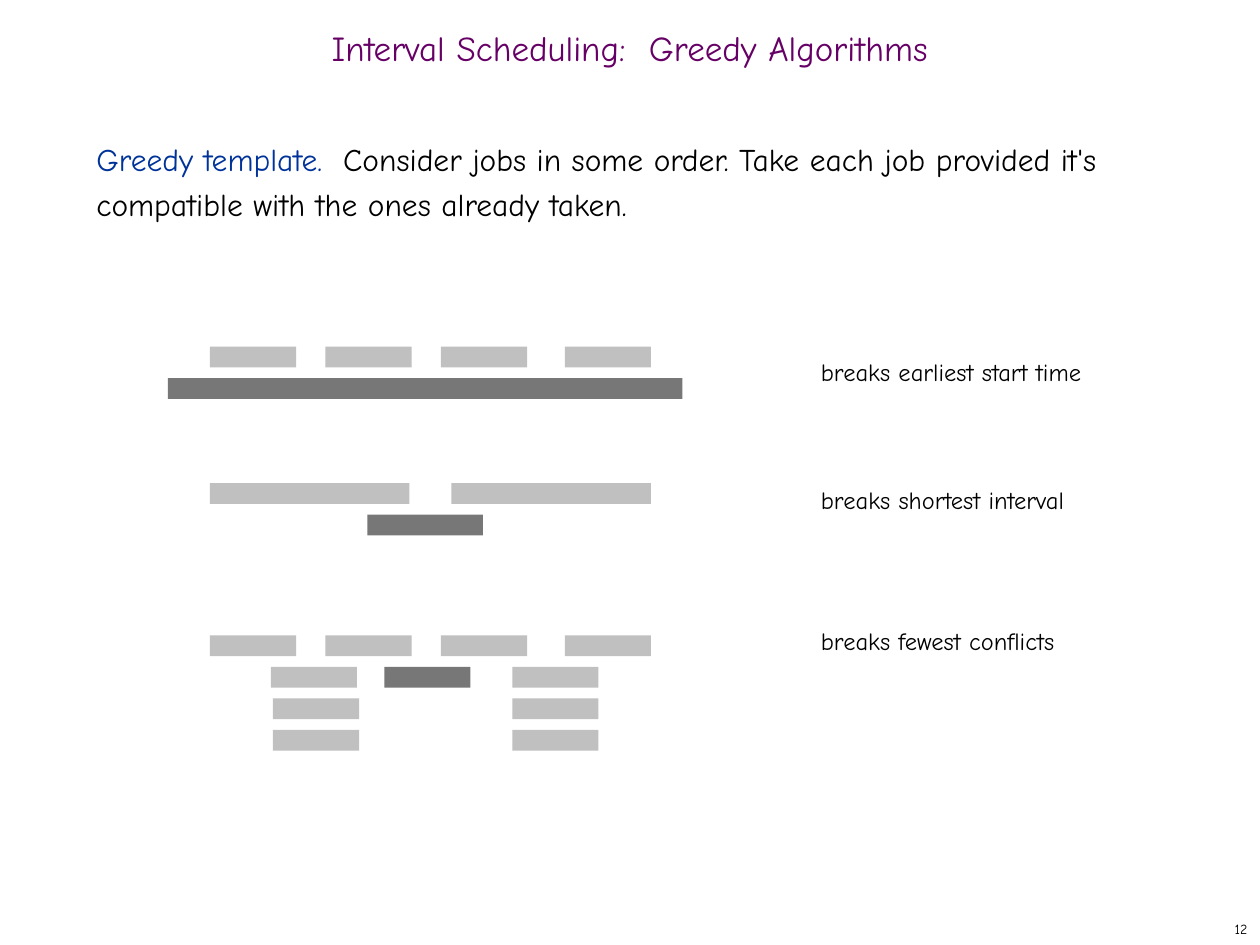
import dataclasses

import pptx
import pptx.dml.color
import pptx.enum.shapes
import pptx.enum.text
import pptx.util

ALIGN = pptx.enum.text.PP_ALIGN
ANCHOR = pptx.enum.text.MSO_ANCHOR


@dataclasses.dataclass(frozen=True)
class Theme:
    font: str = "Comic Neue"
    title: str = "660066"
    accent: str = "003399"
    ink: str = "000000"
    light: str = "C0C0C0"
    dark: str = "777777"
    title_size: int = 20
    body_size: int = 18
    label_size: int = 14
    number_size: int = 8


class SlideBuilder:
    COLUMNS, ROWS = 120, 90
    BAR_HEIGHT, BAR_STEP = 2, 3

    def __init__(self, deck, theme):
        self.theme = theme
        self.column = deck.slide_width / self.COLUMNS
        self.row = deck.slide_height / self.ROWS
        self.page = deck.slides.add_slide(deck.slide_layouts[6])

    def place(self, left, top, width, height):
        return (round(left * self.column), round(top * self.row),
                round(width * self.column), round(height * self.row))

    def text(self, area, spans, size, align=ALIGN.LEFT, anchor=ANCHOR.TOP,
             spacing=None, wrap=True):
        box = self.page.shapes.add_textbox(*self.place(*area))
        frame = box.text_frame
        frame.word_wrap = wrap
        frame.vertical_anchor = anchor
        para = frame.paragraphs[0]
        para.alignment = align
        para.line_spacing = spacing
        for wording, color in spans:
            span = para.add_run()
            span.text = wording
            span.font.name = self.theme.font
            span.font.size = pptx.util.Pt(size)
            span.font.color.rgb = pptx.dml.color.RGBColor.from_string(color)
        return box

    def label(self, top, width, wording):
        box = self.text((77, top, width, 4.4), [(wording, self.theme.ink)],
                        self.theme.label_size, wrap=False)
        box.text_frame.auto_size = pptx.enum.text.MSO_AUTO_SIZE.SHAPE_TO_FIT_TEXT

    def bar(self, left, top, width, color):
        bar = self.page.shapes.add_shape(
            pptx.enum.shapes.MSO_SHAPE.RECTANGLE,
            *self.place(left, top, width, self.BAR_HEIGHT))
        bar.shadow.inherit = False
        bar.fill.solid()
        bar.fill.fore_color.rgb = pptx.dml.color.RGBColor.from_string(color)
        bar.line.fill.background()

    def intervals(self, top, width, light_levels, dark):
        for level, lefts in enumerate(light_levels):
            for left in lefts:
                self.bar(left, top + level * self.BAR_STEP, width, self.theme.light)
        dark_left, dark_width = dark
        self.bar(dark_left, top + self.BAR_STEP, dark_width, self.theme.dark)


def main():
    deck = pptx.Presentation()
    deck.slide_width = pptx.util.Inches(10)
    deck.slide_height = pptx.util.Inches(7.5)
    theme = Theme()
    slide = SlideBuilder(deck, theme)

    slide.text((0, 2, 120, 6),
               [("Interval Scheduling:  Greedy Algorithms", theme.title)],
               theme.title_size, ALIGN.CENTER, ANCHOR.MIDDLE, 0.7)
    slide.text((8, 12, 103, 71),
               [("Greedy template.  ", theme.accent),
                ("Consider jobs in some order. Take each job provided it's "
                 "compatible with the ones already taken.", theme.ink)],
               theme.body_size, spacing=pptx.util.Pt(26))

    short = 8.2
    four_jobs = (20, 31, 42, 53.8)
    slide.intervals(33, short, [four_jobs], (16, 49))
    slide.label(33.4, 30.7, "breaks earliest start time")

    slide.intervals(46, 19, [(20, 43)], (35, 11))
    slide.label(45.6, 28.9, "breaks shortest interval")

    slide.intervals(60.5, short,
                    [four_jobs, (25.8, 48.8), (26, 48.8), (26, 48.8)],
                    (36.6, short))
    slide.label(59, 28.3, "breaks fewest conflicts")

    slide.text((95, 87, 25, 3), [("12", theme.ink)], theme.number_size,
               ALIGN.RIGHT, ANCHOR.MIDDLE, wrap=False)
    deck.save("out.pptx")


if __name__ == "__main__":
    main()
